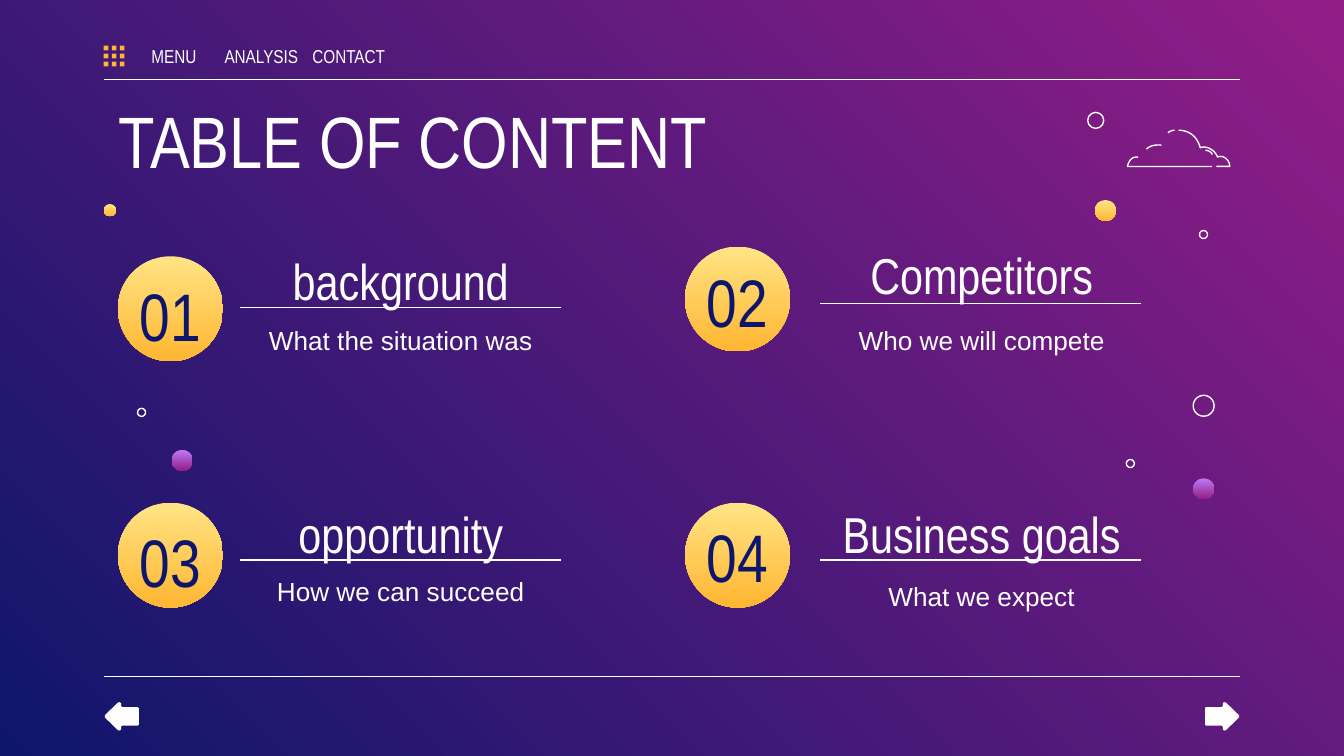
from pptx import Presentation
from pptx import util as u
from pptx.dml.color import RGBColor
from pptx.enum import shapes, text
from pptx.oxml.ns import qn
from lxml import etree

COLORS = {
    "white": "FFFFFF", "navy": "0E166C", "magenta": "921D87",
    "cream": "FFE485", "amber": "FFB632", "lilac": "BE7AF3",
}
GOLD = ("cream", "amber")
PURPLE = ("lilac", "magenta")
NARROW = "Arial Narrow"
CURVE_STEPS = 12


def color(name):
    return RGBColor.from_string(COLORS[name])


def apply(target, values):
    for name, value in values.items():
        setattr(target, name, value)


def cubic(points, t):
    """Point at t on a Bezier curve with four control points."""
    weights = ((1 - t) ** 3, 3 * t * (1 - t) ** 2, 3 * t * t * (1 - t), t ** 3)
    return tuple(sum(w * p[axis] for w, p in zip(weights, points)) for axis in (0, 1))


class Painter:
    def __init__(self, page):
        self.page = page
        self.line_width = u.Pt(0.75)

    def gradient(self, fill, names, angle):
        fill.gradient()
        fill.gradient_angle = angle
        for stop, name in zip(fill.gradient_stops, names):
            stop.color.rgb = color(name)

    def finish(self, shape, fill=None, line=None):
        shape.shadow.inherit = False
        if isinstance(fill, tuple):
            self.gradient(shape.fill, fill, 270)
        elif fill:
            shape.fill.solid()
            shape.fill.fore_color.rgb = color(fill)
        else:
            shape.fill.background()
        if line:
            shape.line.color.rgb = color(line)
            shape.line.width = self.line_width
        else:
            shape.line.fill.background()

    def shape(self, kind, left, top, size, **style):
        item = self.page.shapes.add_shape(kind, *map(u.Pt, (left, top, size, size)))
        self.finish(item, **style)

    def circle(self, *place, **style):
        self.shape(shapes.MSO_SHAPE.OVAL, *place, **style)

    def outline(self, points, closed, **style):
        points = [(u.Pt(x), u.Pt(y)) for x, y in points]
        builder = self.page.shapes.build_freeform(*points[0])
        builder.add_line_segments(points[1:], close=closed)
        self.finish(builder.convert_to_shape(), **style)

    def rule(self, left, y, width):
        line = self.page.shapes.add_connector(
            shapes.MSO_CONNECTOR.STRAIGHT, *map(u.Pt, (left, y, left + width, y)))
        line.line.color.rgb = color("white")
        line.line.width = self.line_width
        etree.SubElement(line._element.spPr, qn("a:effectLst"))

    def text(self, words, place, size, font=NARROW, ink="white", middle=False,
             centred=True, side=7.2):
        box = self.page.shapes.add_textbox(*map(u.Pt, place))
        frame = box.text_frame
        anchor = text.MSO_ANCHOR.MIDDLE if middle else text.MSO_ANCHOR.TOP
        apply(frame, {"word_wrap": True, "vertical_anchor": anchor,
                      "margin_left": u.Pt(side), "margin_right": u.Pt(side),
                      "margin_top": u.Pt(7.2), "margin_bottom": u.Pt(7.2)})
        para = frame.paragraphs[0]
        para.alignment = text.PP_ALIGN.CENTER if centred else text.PP_ALIGN.LEFT
        span = para.add_run()
        span.text = words
        apply(span.font, {"name": font, "size": u.Pt(size)})
        span.font.color.rgb = color(ink)


# Number, heading, summary, column, then tops of badge, number, heading, rule, summary
SECTIONS = [
    ("01", "background", "What the situation was", 0, 137.3, 154.8, 126.7, 164.7, 166.3),
    ("02", "Competitors", "Who we will compete", 1, 132.1, 147.6, 123.8, 162.6, 166.3),
    ("03", "opportunity", "How we can succeed", 0, 269.3, 286.6, 262.1, 300.1, 301),
    ("04", "Business goals", "What we expect", 1, 269.3, 283.7, 262.1, 300.1, 303.8),
]
# Left of badge, left of rule, left of text for each column
COLUMNS = [(63.2, 128.4, 128.7), (367, 439.3, 439.9)]
BADGE, COLUMN_WIDTH = 56.2, 172

# Each cloud stroke is a start, then curves (three points) and lines (one point)
CLOUD = [
    [(631.4, 69.8), [(637.2, 69.8), (641.5, 73.4), (643, 79.2)],
     [(646.6, 77.8), (650.9, 80.6), (652.3, 84.2)],
     [(655.2, 82.8), (658.8, 85.7), (658.8, 89.2)], [(651.6, 89.2)]],
    [(629.3, 69.8), [(629.3, 69.8), (627.1, 69.8), (625.7, 71.2)]],
    [(649.4, 89.2), [(604.1, 89.2)], [(604.1, 89.2), (604.8, 83.5), (609.8, 84.2)]],
    [(645.8, 80.6), [(645.8, 80.6), (648.7, 80.6), (649.4, 82.8)]],
    [(622.1, 77.8), [(622.1, 77.8), (617, 77), (614.2, 79.9)]],
]
# Upper half of an arrow, measured from its tip
ARROW = [(0, -0.6), (7, -7.4), (8, -7.6), (8.7, -7), (8.7, -5.6), (9.2, -5),
         (17.6, -5), (18.2, -4.4)]
GOLD_DOTS = [(586.6, 107.2, 11.2), (55.6, 109.4, 6.5)]
PURPLE_DOTS = [(639.2, 256.3, 11.2), (92, 241.1, 11.2)]
RINGS = [(642.6, 123.5, 4.3), (582.7, 60.2, 8.6), (639.2, 211.8, 11.2),
         (603.4, 246.2, 4.3), (73.7, 218.8, 4.3)]


def main():
    deck = Presentation()
    deck.slide_width, deck.slide_height = u.Pt(720), u.Pt(405)
    page = deck.slides.add_slide(deck.slide_layouts[6])
    painter = Painter(page)
    painter.gradient(page.background.fill, ("magenta", "navy"), 225)

    # Header and footer rules
    for y in (42.5, 362.4):
        painter.rule(55.6, y, 608.7)

    # Title
    painter.text("TABLE OF CONTENT", (56.2, 43.9, 607.7, 47.5), 39, centred=False)

    # Sections
    for number, heading, summary, column, badge_y, number_y, heading_y, rule_y, summary_y in SECTIONS:
        badge_x, rule_x, text_x = COLUMNS[column]
        painter.circle(badge_x, badge_y, BADGE, fill=GOLD)
        painter.rule(rule_x, rule_y, COLUMN_WIDTH)
        painter.text(heading, (text_x, heading_y, COLUMN_WIDTH, 35), 27)
        painter.text(summary, (text_x, summary_y, COLUMN_WIDTH, 44.6), 14, font="Arial")
        painter.text(number, (badge_x, number_y, BADGE, 27.4), 36, ink="navy", middle=True)

    # Menu with its grid icon
    for index, label in enumerate(("MENU", "ANALYSIS", "CONTACT")):
        painter.text(label, (72.7 + 46.8 * index, 21.6, 41, 16.6), 10, middle=True, side=0)
    for cell in range(9):
        column, row = divmod(cell, 3)
        painter.shape(shapes.MSO_SHAPE.RECTANGLE, 55.6 + 4.3 * column, 24.5 + 4.3 * row,
                      2.5, fill="amber")

    # Back and forward arrows
    lower = [(x, -y) for x, y in reversed(ARROW)]
    for tip, side in ((56.2, 1), (663.8, -1)):
        painter.outline([(tip + side * x, 383.8 + y) for x, y in ARROW + lower], True,
                        fill="white")

    # Cloud
    for start, *segments in CLOUD:
        points = [start]
        for segment in segments:
            if len(segment) == 3:
                controls = [points[-1], *segment]
                points += [cubic(controls, step / CURVE_STEPS)
                           for step in range(1, CURVE_STEPS + 1)]
            else:
                points += segment
        painter.outline(points, False, line="white")

    # Scattered dots and rings
    for dots, fill in ((GOLD_DOTS, GOLD), (PURPLE_DOTS, PURPLE)):
        for dot in dots:
            painter.circle(*dot, fill=fill)
    for ring in RINGS:
        painter.circle(*ring, line="white")

    deck.save("out.pptx")


if __name__ == "__main__":
    main()
